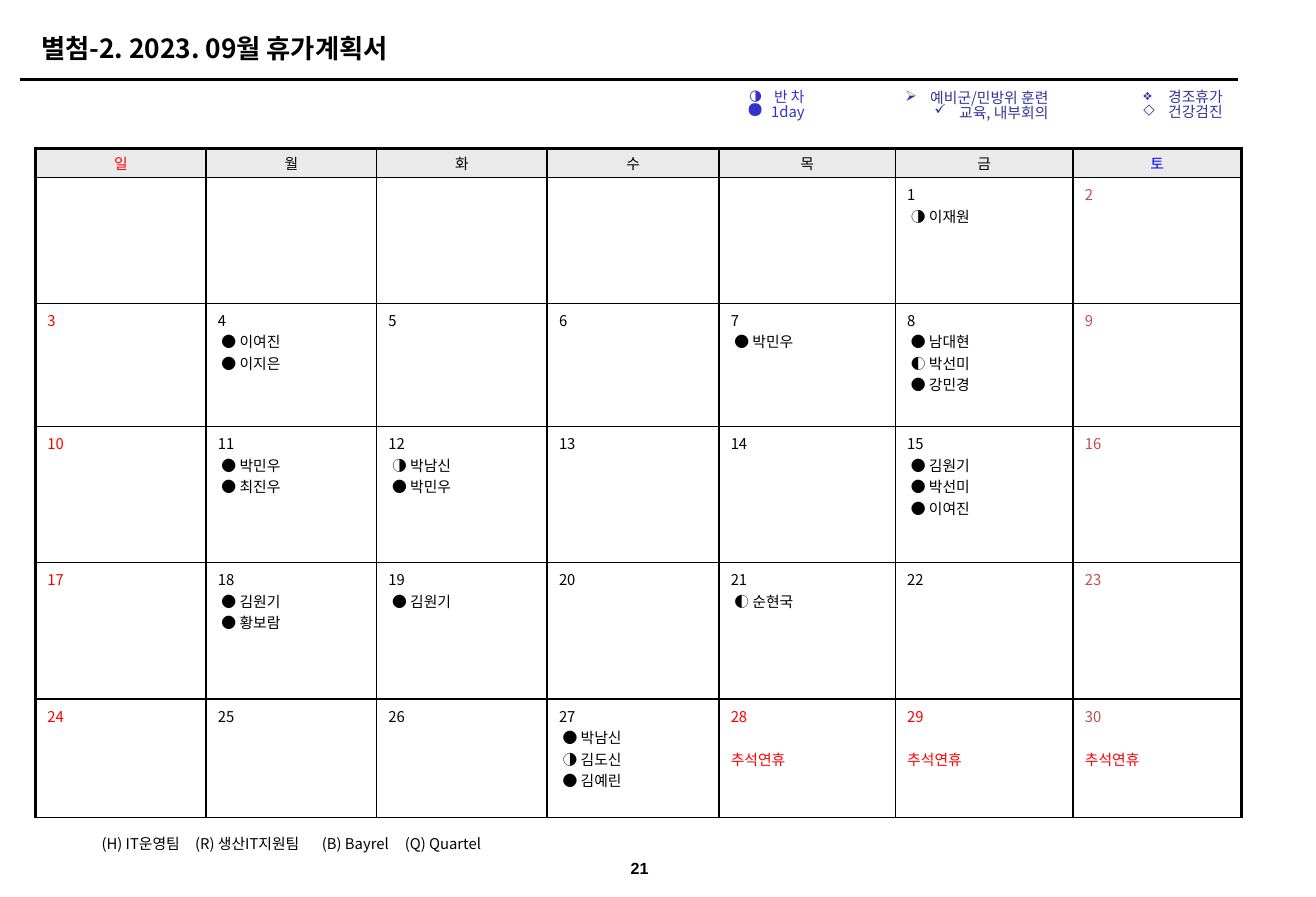
import pptx
import pptx.dml.color
import pptx.enum.shapes
import pptx.enum.text
import pptx.oxml
import pptx.oxml.ns
import pptx.util

EMU_PER_PX = 9144
KOREAN = "Noto Sans CJK KR"
BLACK, RED, ROSE, BLUE = "000000", "FF0000", "C0504D", "0000FF"
VIOLET, NAVY, HEADER_GREY = "3333CC", "333399", "EAEAEA"
ALIGN = pptx.enum.text.PP_ALIGN
ANCHOR = pptx.enum.text.MSO_ANCHOR

WEEKDAYS = "일월화수목금토"
COLUMN_WIDTHS = [144, 144, 144, 145, 149, 150, 142]
ROW_HEIGHTS = [25, 106, 104, 115, 115, 100]
FIRST_WEEKDAY = 5
LAST_DAY = 30
HOLIDAYS = {28, 29, 30}
LEAVES = {
    1: ["◑ 이재원"],
    4: ["● 이여진", "● 이지은"],
    7: ["● 박민우"],
    8: ["● 남대현", "◐ 박선미", "● 강민경"],
    11: ["● 박민우", "● 최진우"],
    12: ["◑ 박남신", "● 박민우"],
    15: ["● 김원기", "● 박선미", "● 이여진"],
    18: ["● 김원기", "● 황보람"],
    19: ["● 김원기"],
    21: ["◐ 순현국"],
    27: ["● 박남신", "◑ 김도신", "● 김예린"],
}
LEGENDS = [
    ((617, 72, 72, 40), VIOLET, 10, [("◑", "반 차", 100), ("●", "1day", 150)]),
    ((741, 73, 158, 39), NAVY, 14, [("➢", "예비군/민방위 훈련", 100), ("✓", "교육, 내부회의", 100)]),
    ((859, 72, 183, 39), NAVY, 10, [("❖", "경조휴가", 100), ("◇", "건강검진", 100)]),
]
TEAMS = ["(H) IT운영팀", "(R) 생산IT지원팀", "(B) Bayrel", "(Q) Quartel"]
TEAM_TABS = [79, 186, 256]


def px(length):
    """Turn px into EMU."""
    return pptx.util.Emu(length * EMU_PER_PX)


def color(code):
    """Turn a hex string into a colour."""
    return pptx.dml.color.RGBColor.from_string(code)


def add_xml(parent, markup):
    """Append one DrawingML element to a parent."""
    namespace = pptx.oxml.ns.nsdecls("a")
    tag, rest = markup.split(" ", 1)
    parent.append(pptx.oxml.parse_xml(f"{tag} {namespace} {rest}"))


def style(para, code, size=9, bold=False, align=ALIGN.LEFT, face=KOREAN):
    """Set the alignment and font of a paragraph."""
    para.alignment = align
    font = para.font
    font.size, font.bold, font.name = pptx.util.Pt(size), bold, face
    font.color.rgb = color(code)
    defaults = para._p.pPr.find(pptx.oxml.ns.qn("a:defRPr"))
    add_xml(defaults, f'<a:ea typeface="{face}"/>')


def add_lines(frame, lines):
    """Fill a text frame with one paragraph a line and return them."""
    frame.text = "\n".join(lines)
    return frame.paragraphs


def add_box(page, place, lines, anchor=ANCHOR.TOP):
    """Add a wrapping text box and return its frame."""
    frame = page.shapes.add_textbox(*map(px, place)).text_frame
    frame.word_wrap = True
    frame.vertical_anchor = anchor
    add_lines(frame, lines)
    return frame


def add_label(page, place, text, **look):
    """Add a one-line text box centred on its height."""
    frame = add_box(page, place, [text], ANCHOR.MIDDLE)
    style(frame.paragraphs[0], BLACK, **look)


def add_rule(page, left, right, top):
    """Draw the rule under the title."""
    rule = page.shapes.add_connector(
        pptx.enum.shapes.MSO_CONNECTOR.STRAIGHT, px(left), px(top), px(right), px(top))
    rule.line.color.rgb = color(BLACK)
    rule.line.width = pptx.util.Pt(1.5)
    add_xml(rule._element.spPr, "<a:effectLst />")


def add_legend(page, place, code, right_inset, entries):
    """Add a right-aligned bulleted legend."""
    frame = add_box(page, place, [label for _, label, _ in entries])
    frame.margin_right = px(right_inset)
    for para, (mark, _, percent) in zip(frame.paragraphs, entries):
        properties = para._p.get_or_add_pPr()
        properties.set("marL", str(px(21)))
        properties.set("indent", str(px(-21)))
        add_xml(properties, f'<a:buClr ><a:srgbClr val="{code}"/></a:buClr>')
        add_xml(properties, f'<a:buSzPct val="{percent * 1000}"/>')
        add_xml(properties, f'<a:buChar char="{mark}"/>')
        style(para, code, align=ALIGN.RIGHT)
        para.line_spacing = 0.81


def add_teams(page):
    """Add the team key with its tab stops."""
    frame = add_box(page, (76, 700, 350, 24), ["\t".join(TEAMS)], ANCHOR.MIDDLE)
    para = frame.paragraphs[0]
    stops = "".join(f'<a:tab pos="{px(stop)}" algn="l"/>' for stop in TEAM_TABS)
    add_xml(para._p.get_or_add_pPr(), f"<a:tabLst >{stops}</a:tabLst>")
    style(para, BLACK)


def set_borders(cell, row, column):
    """Draw cell borders, heavier on the left, right and top of the calendar."""
    heavy = {"L": column == 0, "R": column == 6, "T": row == 0, "B": False}
    for side, is_heavy in heavy.items():
        width = pptx.util.Pt(2 if is_heavy else 1)
        add_xml(cell._tc.get_or_add_tcPr(),
                f'<a:ln{side} w="{width}"><a:solidFill><a:srgbClr val="{BLACK}"/>'
                f"</a:solidFill></a:ln{side}>")


def fill_header(cell, column):
    """Write a weekday heading."""
    cell.fill.solid()
    cell.fill.fore_color.rgb = color(HEADER_GREY)
    cell.vertical_anchor = ANCHOR.MIDDLE
    cell.margin_top = cell.margin_bottom = px(3)
    para = add_lines(cell.text_frame, [WEEKDAYS[column]])[0]
    style(para, {0: RED, 6: BLUE}.get(column, BLACK), align=ALIGN.CENTER)


def fill_day(cell, day, column):
    """Write a date with its leaves or holiday."""
    cell.fill.background()
    if not 1 <= day <= LAST_DAY:
        return
    is_holiday = day in HOLIDAYS
    entries = ["추석연휴"] if is_holiday else LEAVES.get(day, [])
    date, *others = add_lines(cell.text_frame, [str(day), *entries])
    weekday_color = RED if is_holiday else BLACK
    style(date, {0: RED, 6: ROSE}.get(column, weekday_color))
    for para in others:
        style(para, weekday_color)
        if is_holiday:
            para.space_before = pptx.util.Pt(13)
        else:
            para._p.pPr.set("marL", str(px(3)))


def add_calendar(page):
    """Add the month as a table."""
    table = page.shapes.add_table(
        len(ROW_HEIGHTS), len(COLUMN_WIDTHS), px(30), px(125),
        px(sum(COLUMN_WIDTHS)), px(sum(ROW_HEIGHTS))).table
    table.first_row = table.horz_banding = False
    for column, width in enumerate(COLUMN_WIDTHS):
        table.columns[column].width = px(width)
    for row, height in enumerate(ROW_HEIGHTS):
        table.rows[row].height = px(height)
        for column in range(len(COLUMN_WIDTHS)):
            cell = table.cell(row, column)
            set_borders(cell, row, column)
            if row == 0:
                fill_header(cell, column)
            else:
                fill_day(cell, (row - 1) * 7 + column - FIRST_WEEKDAY + 1, column)


def main():
    """Build the leave plan slide."""
    deck = pptx.Presentation()
    deck.slide_width, deck.slide_height = px(1111), px(757)
    page = deck.slides.add_slide(deck.slide_layouts[6])
    add_rule(page, 17, 1045, 67)
    add_label(page, (513, 717, 54, 31), "21", size=9.8, bold=True,
              align=ALIGN.CENTER, face="Arial")
    add_calendar(page)
    add_label(page, (25, 22, 990, 37), "별첨-2. 2023. 09월 휴가계획서", size=16, bold=True)
    for legend in LEGENDS:
        add_legend(page, *legend)
    add_teams(page)
    deck.save("out.pptx")


if __name__ == "__main__":
    main()
